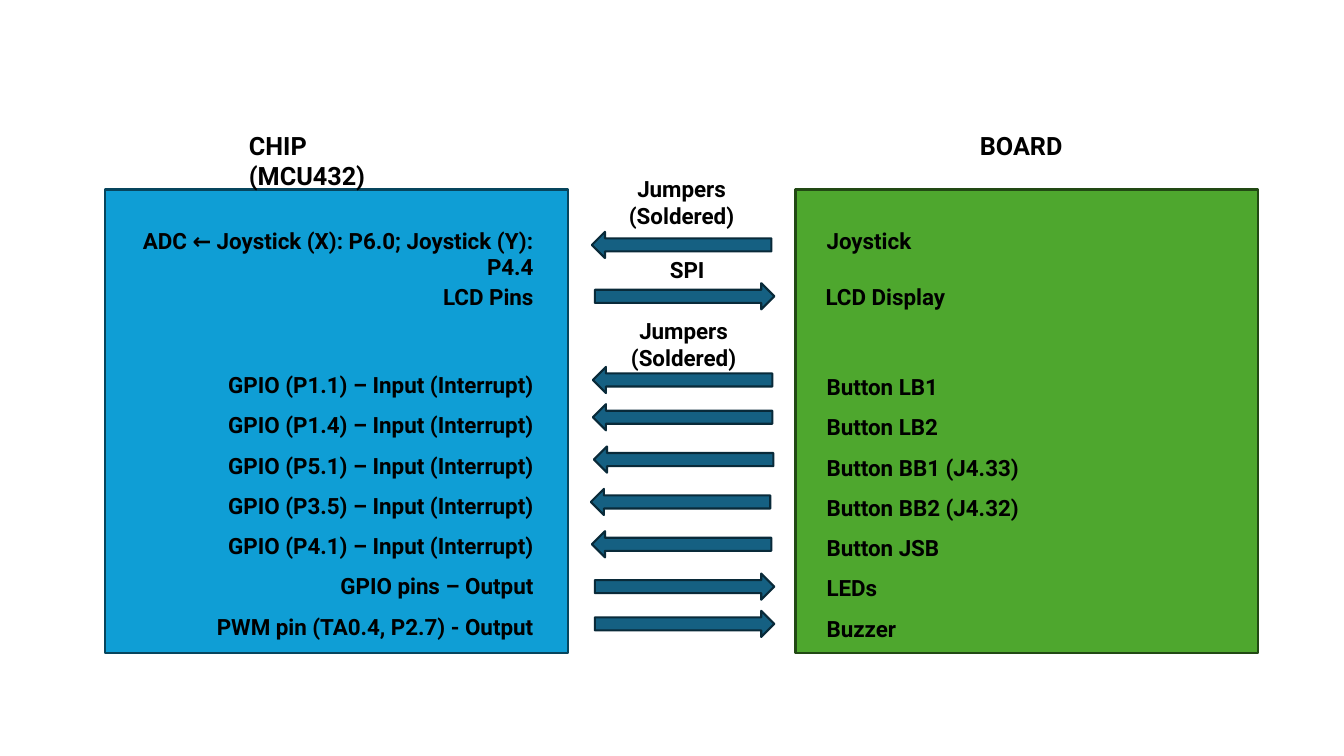
from dataclasses import dataclass

from pptx import Presentation
from pptx.dml.color import RGBColor
from pptx.enum.shapes import MSO_SHAPE
from pptx.enum.text import MSO_AUTO_SIZE, PP_ALIGN
from pptx.util import Inches, Pt


@dataclass(frozen=True)
class Theme:
    """Colours and type sizes of the slide."""
    font: str = "Roboto"
    heading_size: int = 18
    label_size: int = 16
    line_width: float = 1.5
    text: str = "000000"
    chip: tuple = ("0F9ED5", "07455D")
    board: tuple = ("4EA72E", "224914")
    arrow: tuple = ("156082", "092A39")


THEME = Theme()
BLOCK_WIDTH, BLOCK_HEIGHT = 4.59, 4.6
BLOCK_TOP = 1.88
CHIP_LEFT, BOARD_LEFT, LINK_LEFT = 1.04, 7.89, 5.86
ARROW_WIDTH, ARROW_HEIGHT = 1.78, 0.26

CHIP_LABELS = [
    (0, 0.32, 4.35, ["ADC ← Joystick (X): P6.0; Joystick (Y): P4.4"]),
    (0.21, 0.88, 4.14, ["LCD Pins"]),
]
CHIP_PINS = [f"GPIO ({pin}) – Input (Interrupt)"
             for pin in ("P1.1", "P1.4", "P5.1", "P3.5", "P4.1")]
CHIP_PINS += ["GPIO pins – Output", "PWM pin (TA0.4, P2.7) - Output"]
BOARD_LABELS = [
    (0.21, 0.32, 4.14, ["Joystick"]),
    (0.2, 0.88, 4.14, ["LCD Display"]),
]
BOARD_PARTS = ["Button LB1", "Button LB2", "Button BB1 (J4.33)",
               "Button BB2 (J4.32)", "Button JSB", "LEDs", "Buzzer"]
LINK_LABELS = [
    (0.21, -0.19, 1.38, "Jumpers (Soldered)"),
    (0.61, 0.61, 0.69, "SPI"),
    (0.23, 1.22, 1.38, "Jumpers (Soldered)"),
]
TO_CHIP = [(0.01, 0.42), (0.02, 1.76), (0.02, 2.13),
           (0.03, 2.55), (0, 2.97), (0.01, 3.39)]
TO_BOARD = [(0.04, 0.93), (0.04, 3.81), (0.04, 4.18)]


def add_filled_shape(slide, kind, left, top, width, height, colours):
    """Draw a preset shape with a (fill, line) pair of colours."""
    shape = slide.shapes.add_shape(kind, Inches(left), Inches(top),
                                   Inches(width), Inches(height))
    fill, line = colours
    shape.shadow.inherit = False
    shape.fill.solid()
    shape.fill.fore_color.rgb = RGBColor.from_string(fill)
    shape.line.color.rgb = RGBColor.from_string(line)
    shape.line.width = Pt(THEME.line_width)


def add_label(slide, left, top, width, height, lines, align=PP_ALIGN.LEFT,
              size=THEME.label_size, spacing=1.0):
    """Place bold text, one paragraph per line."""
    box = slide.shapes.add_textbox(Inches(left), Inches(top),
                                   Inches(width), Inches(height))
    frame = box.text_frame
    frame.word_wrap = True
    frame.auto_size = MSO_AUTO_SIZE.SHAPE_TO_FIT_TEXT
    frame.text = "\n".join(lines)
    for paragraph in frame.paragraphs:
        paragraph.alignment = align
        paragraph.line_spacing = spacing
        paragraph.font.name = THEME.font
        paragraph.font.size = Pt(size)
        paragraph.font.bold = True
        paragraph.font.color.rgb = RGBColor.from_string(THEME.text)


def add_block(slide, left, top, colours, heading, labels, pin_list, align):
    """Draw a device block with its heading, single labels and pin list."""
    add_filled_shape(slide, MSO_SHAPE.RECTANGLE, left, top,
                     BLOCK_WIDTH, BLOCK_HEIGHT, colours)
    offset, width, title = heading
    add_label(slide, left + offset, top - 0.64, width, 0.4, [title],
              size=THEME.heading_size)
    for x, y, width, lines in labels:
        add_label(slide, left + x, top + y, width, 0.37, lines, align)
    x, y, width, lines = pin_list
    add_label(slide, left + x, top + y, width, 2.89, lines, align, spacing=1.5)


def add_links(slide, left, top):
    """Draw the arrows between the blocks and their captions."""
    for x, y, width, text in LINK_LABELS:
        add_label(slide, left + x, top + y, width, 0.37, [text],
                  PP_ALIGN.CENTER)
    for kind, places in ((MSO_SHAPE.LEFT_ARROW, TO_CHIP),
                         (MSO_SHAPE.RIGHT_ARROW, TO_BOARD)):
        for x, y in places:
            add_filled_shape(slide, kind, left + x, top + y,
                             ARROW_WIDTH, ARROW_HEIGHT, THEME.arrow)


def main():
    """Build and save the wiring slide."""
    presentation = Presentation()
    presentation.slide_width = Inches(13.33)
    presentation.slide_height = Inches(7.5)
    slide = presentation.slides.add_slide(presentation.slide_layouts[6])
    add_block(slide, CHIP_LEFT, BLOCK_TOP, THEME.chip,
              (1.33, 1.85, "CHIP (MCU432)"), CHIP_LABELS,
              (0.21, 1.62, 4.14, CHIP_PINS), PP_ALIGN.RIGHT)
    add_block(slide, BOARD_LEFT, BLOCK_TOP, THEME.board,
              (1.73, 1.13, "BOARD"), BOARD_LABELS,
              (0.21, 1.64, 2.67, BOARD_PARTS), PP_ALIGN.LEFT)
    add_links(slide, LINK_LEFT, BLOCK_TOP)
    presentation.save("out.pptx")


if __name__ == "__main__":
    main()
